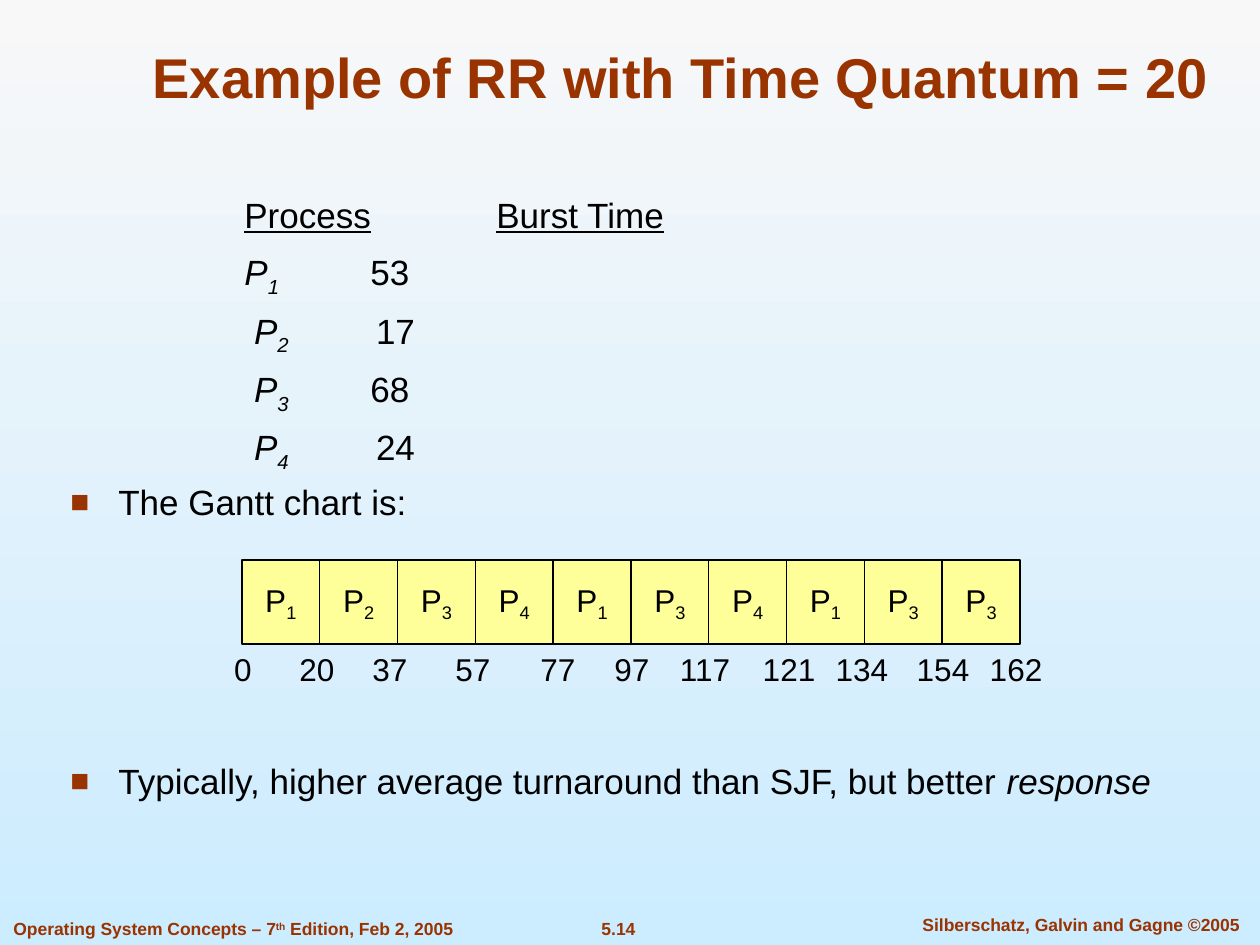
from dataclasses import dataclass

from lxml.etree import SubElement
from pptx import Presentation
from pptx.dml.color import RGBColor
from pptx.enum.shapes import MSO_SHAPE
from pptx.enum.text import MSO_ANCHOR, MSO_AUTO_SIZE, PP_ALIGN
from pptx.oxml.ns import qn
from pptx.util import Pt

SCALE = 914400 / 126


@dataclass(frozen=True)
class Theme:
    """Colours and type sizes of the slide."""
    font: str = "Arial"
    accent: RGBColor = RGBColor(0x99, 0x33, 0x00)
    ink: RGBColor = RGBColor(0, 0, 0)
    cell: RGBColor = RGBColor(0xFF, 0xFF, 0x99)
    sky: tuple = (RGBColor(0xF8, 0xF8, 0xF8), RGBColor(0xCC, 0xEC, 0xFF))
    title: float = 32
    body: float = 20
    chart: float = 18
    footer: float = 10
    outline: float = 0.74


THEME = Theme()
LOWERED = {"baseline": -25000}
RAISED = {"baseline": 30000}
ITALIC = {"italic": True}
UNDERLINE = {"underline": True}
BURSTS = [("", "1", "", "53"), (" ", "2", " ", "17"), (" ", "3", "", "68"), (" ", "4", " ", "24")]
TURNS = "1234134133"
TIMES = {0: 243, 20: 317, 37: 390, 57: 473, 77: 558, 97: 632,
         117: 705, 121: 789, 134: 862, 154: 943, 162: 1016}


def emu(pixels):
    """Turn pixels into EMU."""
    return round(pixels * SCALE)


def place(*box):
    """Turn a pixel box into EMU lengths."""
    return [emu(length) for length in box]


def apply(target, formats):
    """Set each named format value on the target."""
    for name, value in formats.items():
        setattr(target, name, value)


def write(para, spans, size, color, bold=False):
    """Add the spans, each a text with its own formats, to a paragraph."""
    for text, formats in spans:
        span = para.add_run()
        span.text = text
        own = dict(formats)
        baseline = own.pop("baseline", None)
        apply(span.font, {"name": THEME.font, "size": Pt(size), "bold": bold, **own})
        span.font.color.rgb = color
        if baseline:
            span.font._element.set("baseline", str(baseline))


def add_bullet(para, indent):
    """Give a paragraph a hanging square bullet."""
    props = para._p.get_or_add_pPr()
    for name, value in {"marL": indent, "indent": -indent}.items():
        props.set(name, str(emu(value)))
    color = SubElement(props, qn("a:buClr"))
    SubElement(color, qn("a:srgbClr"), val=str(THEME.accent))
    SubElement(props, qn("a:buSzPct"), val="90000")
    SubElement(props, qn("a:buFont"), typeface=THEME.font)
    SubElement(props, qn("a:buChar"), char="■")


def add_tabs(para, stops):
    """Give a paragraph left tab stops."""
    tabs = SubElement(para._p.get_or_add_pPr(), qn("a:tabLst"))
    for stop in stops:
        SubElement(tabs, qn("a:tab"), pos=str(emu(stop)), algn="l")


def add_label(shapes, box, spans, size, color, bold=False, align=PP_ALIGN.CENTER):
    """Add a one-line text box that fits its text."""
    frame = shapes.add_textbox(*place(*box)).text_frame
    apply(frame, {"word_wrap": False, "auto_size": MSO_AUTO_SIZE.SHAPE_TO_FIT_TEXT,
                  "vertical_anchor": MSO_ANCHOR.TOP})
    para = frame.paragraphs[0]
    para.alignment = align
    write(para, spans, size, color, bold)


def fill_background(page):
    """Fill the page with a vertical gradient."""
    fill = page.background.fill
    fill.gradient()
    fill.gradient_angle = 270
    for stop, color, position in zip(fill.gradient_stops, THEME.sky, (0, 1)):
        stop.color.rgb = color
        stop.position = position


def set_title(page, box, text):
    """Move and format the title placeholder."""
    title = page.shapes.title
    apply(title, dict(zip(("left", "top", "width", "height"), place(*box))))
    frame = title.text_frame
    apply(frame, {"vertical_anchor": MSO_ANCHOR.BOTTOM, "word_wrap": True,
                  "auto_size": MSO_AUTO_SIZE.NONE})
    para = frame.paragraphs[0]
    para.alignment = PP_ALIGN.CENTER
    write(para, [(text, {})], THEME.title, THEME.accent, True)


def add_body(page, box):
    """Add the burst times and the two bullet points."""
    frame = page.shapes.add_textbox(*place(*box)).text_frame
    frame.word_wrap = True
    heading = [("\t", {}), ("Process", UNDERLINE), ("\t", {}), ("Burst Time", UNDERLINE)]
    rows = [[("\t" + lead, {}), ("P", ITALIC), (f"{number}\t{gap}", {**ITALIC, **LOWERED}),
             (burst, {})] for lead, number, gap, burst in BURSTS]
    gantt = [("The Gantt chart is:", {})]
    remark = [("Typically, higher average turnaround than SJF, but better ", {}),
              ("response", ITALIC)]
    lines = [(heading, (174, 426), 8.8), *((row, (174, 300), 8.8) for row in rows),
             (gantt, None, 8.8), (remark, None, 138)]
    for index, (spans, stops, before) in enumerate(lines):
        para = frame.add_paragraph() if index else frame.paragraphs[0]
        apply(para, {"line_spacing": 0.9, "space_before": Pt(before),
                     "alignment": PP_ALIGN.LEFT})
        if stops:
            add_tabs(para, stops)
        else:
            add_bullet(para, 48)
        write(para, spans, THEME.body, THEME.ink)


def add_gantt(page, box):
    """Add the row of process cells with the times below it."""
    left, top, width, height = box
    shapes = page.shapes.add_group_shape().shapes
    step = width / len(TURNS)
    for index, number in enumerate(TURNS):
        cell = shapes.add_shape(MSO_SHAPE.RECTANGLE,
                                *place(left + index * step, top, step, height))
        cell.shadow.inherit = False
        cell.fill.solid()
        cell.fill.fore_color.rgb = THEME.cell
        cell.line.color.rgb = THEME.ink
        cell.line.width = Pt(THEME.outline)
        frame = cell.text_frame
        apply(frame, {"word_wrap": False, "vertical_anchor": MSO_ANCHOR.MIDDLE})
        para = frame.paragraphs[0]
        para.alignment = PP_ALIGN.CENTER
        write(para, [("P", {}), (number, LOWERED)], THEME.chart, THEME.ink)
    for time, center in TIMES.items():
        label_width = 28 + 18 * len(str(time))
        add_label(shapes, (center - label_width / 2, top + height, label_width, 50),
                  [(str(time), {})], THEME.chart, THEME.ink)


def add_footer(page, box):
    """Add the book, the page number and the authors along the bottom."""
    left, top, _, height = box
    book = [("Operating System Concepts – 7", {}), ("th", RAISED),
            (" Edition, Feb 2, 2005", {})]
    parts = [(1, 4, 465, book, PP_ALIGN.LEFT),
             (557, 4, 123, [("5.14", {})], PP_ALIGN.CENTER),
             (894, 0, 374, [("Silberschatz, Galvin and Gagne ©2005", {})], PP_ALIGN.CENTER)]
    for across, down, width, spans, align in parts:
        add_label(page.shapes, (left + across, top + down, width, height),
                  spans, THEME.footer, THEME.accent, True, align)


def build():
    """Build and save the deck."""
    deck = Presentation()
    deck.slide_width, deck.slide_height = place(1260, 945)
    page = deck.slides.add_slide(deck.slide_layouts[5])
    fill_background(page)
    set_title(page, (126, 0, 1110, 116), "Example of RR with Time Quantum = 20")
    add_body(page, (58, 192, 1145, 617))
    add_gantt(page, (242, 560, 778, 84))
    add_footer(page, (0, 908, 1260, 34))
    deck.save("out.pptx")


build()
